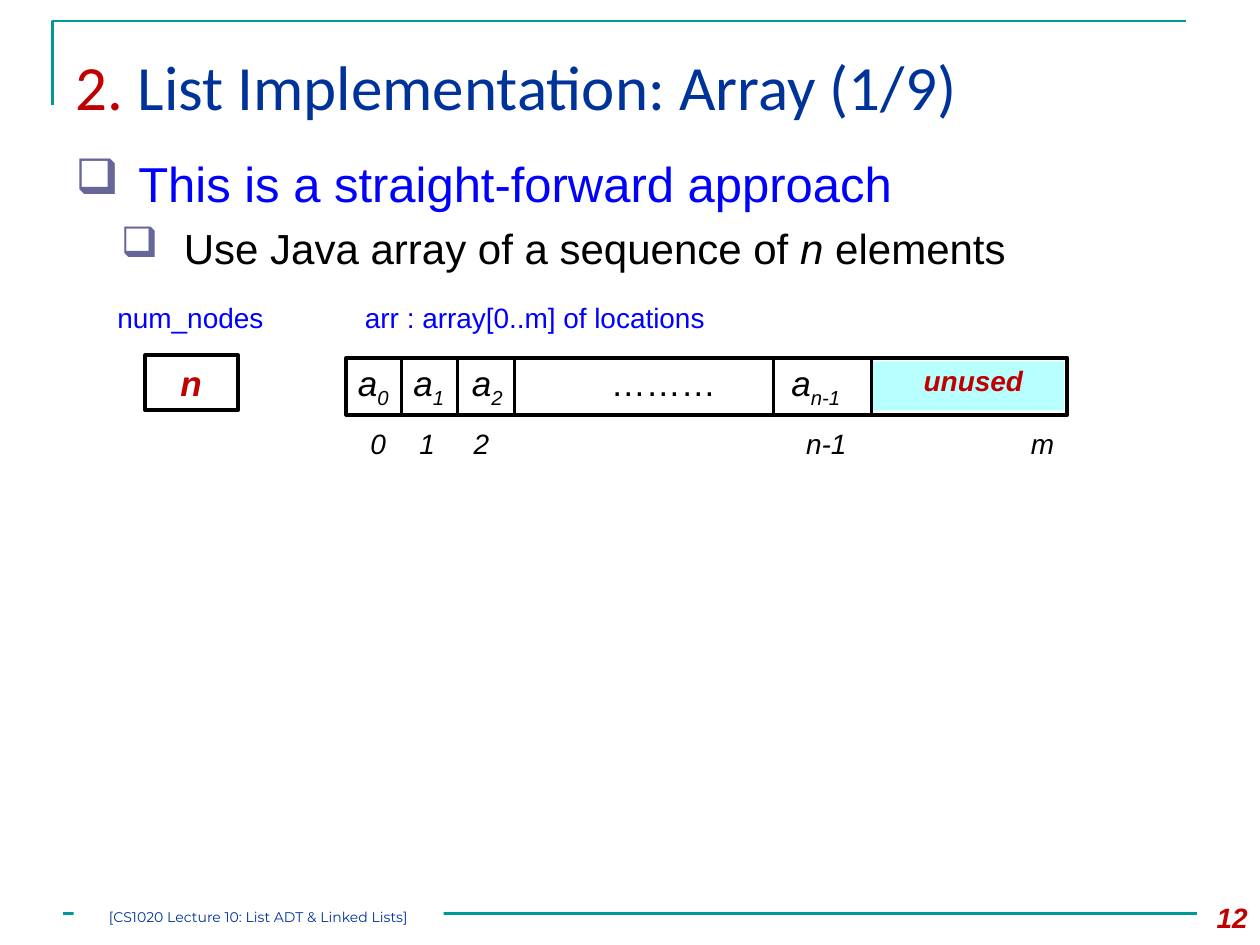
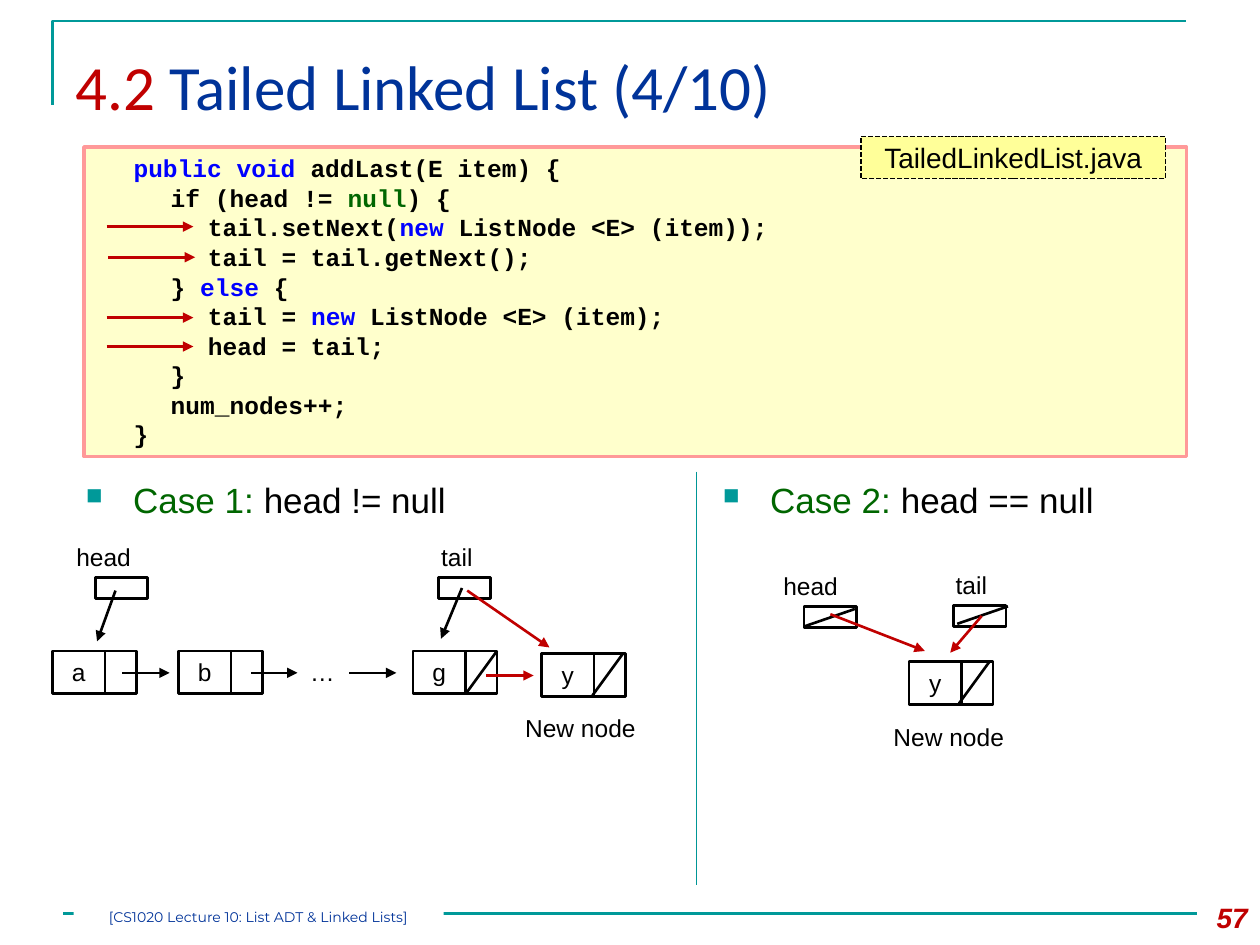
import pptx
import pptx.util
import pptx.dml.color
import pptx.enum.dml
import pptx.enum.shapes
import pptx.enum.text
from lxml import etree
from pptx.oxml.ns import qn

Pt = pptx.util.Pt
RGB = pptx.dml.color.RGBColor.from_string
ALIGN = pptx.enum.text.PP_ALIGN
ANCHOR = pptx.enum.text.MSO_ANCHOR

COLORS = {
    "teal": "009999", "divider": "009696", "red": "C00000", "navy": "003399",
    "blue": "0000FF", "green": "006600", "black": "000000", "white": "FFFFFF",
    "bullet": "666699", "unused": "B8FFFF", "code": "FFFFCC",
    "code edge": "FF9999", "file tag": "FFFF99",
}


def add_box(s, x, y, w, h, paras=(), size=14, color="black", font="Arial", bold=None,
            italic=None, align=ALIGN.LEFT, anchor=ANCHOR.TOP, wrap=True, inset=True,
            fill=None, line=None, weight=1.5):
    """Add a rectangle; each paragraph is a string or a list of (text, colour, rPr attributes)."""
    sp = s.shapes.add_shape(pptx.enum.shapes.MSO_SHAPE.RECTANGLE, Pt(x), Pt(y), Pt(w), Pt(h))
    sp.shadow.inherit = False
    if fill:
        sp.fill.solid()
        sp.fill.fore_color.rgb = RGB(COLORS[fill])
    else:
        sp.fill.background()
    if line:
        sp.line.color.rgb = RGB(COLORS[line])
        sp.line.width = Pt(weight)
    else:
        sp.line.fill.background()
    tf = sp.text_frame
    tf.word_wrap = wrap
    tf.vertical_anchor = anchor
    if not inset:
        tf.margin_left = tf.margin_right = tf.margin_top = tf.margin_bottom = 0
    for i, runs in enumerate(paras):
        p = tf.add_paragraph() if i else tf.paragraphs[0]
        p.alignment = align
        p.font.name, p.font.size = font, Pt(size)
        p.font.bold, p.font.italic = bold, italic
        p.font.color.rgb = RGB(COLORS[color])
        for text, run_color, attrs in [(runs, None, {})] if isinstance(runs, str) else runs:
            r = p.add_run()
            r.text = text
            if run_color:
                r.font.color.rgb = RGB(COLORS[run_color])
            for key, value in attrs.items():
                r._r.get_or_add_rPr().set(key, value)
    return sp


def add_line(s, x1, y1, x2, y2, color="black", weight=1.5, arrow=False):
    c = s.shapes.add_connector(pptx.enum.shapes.MSO_CONNECTOR.STRAIGHT,
                               Pt(x1), Pt(y1), Pt(x2), Pt(y2))
    c.line.color.rgb = RGB(COLORS[color])
    c.line.width = Pt(weight)
    if arrow:
        etree.SubElement(c.line._get_or_add_ln(), qn("a:tailEnd"), type="triangle")
    etree.SubElement(c._element.spPr, qn("a:effectLst"))


prs = pptx.Presentation()
prs.slide_width, prs.slide_height = Pt(720), Pt(540)

# Frame, title and footer shared by the slides
slides = []
for section, heading, number in [("2. ", "List Implementation: Array (1/9)", "12"),
                                 ("4.2 ", "Tailed Linked List (4/10)", "57")]:
    s = prs.slides.add_slide(prs.slide_layouts[5])
    slides.append(s)
    corner = s.shapes.build_freeform(Pt(30), Pt(60), scale=1.0)
    corner.add_line_segments([(Pt(30), Pt(12)), (Pt(678), Pt(12))], close=False)
    sp = corner.convert_to_shape()
    sp.shadow.inherit = False
    sp.fill.background()
    sp.line.color.rgb = RGB(COLORS["teal"])
    sp.line.width = Pt(1.5)
    add_line(s, 36, 522, 684, 522, "teal")

    title = s.shapes.title
    title.left, title.top, title.width, title.height = Pt(36), Pt(18), Pt(648), Pt(62)
    title.text_frame.vertical_anchor = ANCHOR.MIDDLE
    p = title.text_frame.paragraphs[0]
    p.alignment = ALIGN.LEFT
    p.font.name, p.font.size = "Calibri", Pt(36)
    for text, color in [(section, "red"), (heading, "navy")]:
        r = p.add_run()
        r.text = text
        r.font.color.rgb = RGB(COLORS[color])

    add_box(s, 672, 511, 48, 29, [number], 16, "red", bold=True, italic=True,
            align=ALIGN.RIGHT)
    add_box(s, 42, 516, 211.5, 16.5, ["[CS1020 Lecture 10: List ADT & Linked Lists]"], 8,
            "navy", "Montserrat", align=ALIGN.CENTER, anchor=ANCHOR.MIDDLE, inset=False,
            fill="white")

array_slide, list_slide = slides

# Bulleted text: box, bullet character, colour, size and left margins
approach = add_box(array_slide, 36, 84, 648, 84, [
    "This is a straight-forward approach",
    [("Use Java array of a sequence of ", None, {}), ("n", None, {"i": "1"}),
     (" elements", None, {})]], 28)
approach.text_frame.paragraphs[0].font.color.rgb = RGB(COLORS["blue"])
approach.text_frame.paragraphs[1].font.size = Pt(24)
approach.text_frame.paragraphs[1].space_before = Pt(6)
cases = [add_box(list_slide, x, 270, w, 36,
                 [[(case, "green", {}), (condition, "black", {})]], 20)
         for x, w, case, condition in [(42, 302, "Case 1: ", "head != null"),
                                       (406, 250, "Case 2: ", "head == null")]]
for sp, char, color, percent, margins, hang in [
        (approach, "❑", "bullet", 100, (36, 62), 36),
        (cases[0], "■", "teal", 65, (27,), 27),
        (cases[1], "■", "teal", 65, (27,), 27)]:
    for p, margin in zip(sp.text_frame.paragraphs, margins):
        pPr = p._p.get_or_add_pPr()
        pPr.set("marL", str(Pt(margin)))
        pPr.set("indent", str(-Pt(hang)))
        bullet = [etree.Element(qn("a:buClr")),
                  etree.Element(qn("a:buSzPct"), val=str(percent * 1000)),
                  etree.Element(qn("a:buChar"), char=char)]
        etree.SubElement(bullet[0], qn("a:srgbClr"), val=COLORS[color])
        for element in bullet:
            pPr.find(qn("a:defRPr")).addprevious(element)

# Array diagram
s = array_slide
add_box(s, 83, 203, 53, 31.5, line="black", weight=2.25)
add_box(s, 96, 203, 26.5, 31, ["n"], 20, "red", bold=True, italic=True, wrap=False)
add_box(s, 60, 168, 98.5, 26.5, ["num_nodes"], 16, "blue", wrap=False)
add_box(s, 201.5, 168, 249, 26.5, ["arr : array[0..m] of locations"], 16, "blue")
add_box(s, 198, 204.5, 412, 32.5, line="black", weight=2.25)
add_box(s, 498, 206.5, 110, 28, fill="unused")
for x in (229.5, 261.5, 294, 442, 498):
    add_line(s, x, 205.5, x, 236.5)
for x, w, index in [(192, 42.5, "0"), (226, 38, "1"), (262, 33, "2"), (444, 44.5, "n-1")]:
    add_box(s, x, 203, w, 31.5, [[("a", None, {}), (index, None, {"baseline": "-25000"})]],
            20, italic=True, align=ALIGN.CENTER, wrap=False)
add_box(s, 342, 203, 75, 31.5, ["………"], 20, wrap=False)
add_box(s, 516, 204, 80.5, 26.5, ["unused"], 16, "red", bold=True, italic=True,
        align=ALIGN.CENTER)
for x, w, index in [(204.5, 23, "0"), (232.5, 23, "1"), (263.5, 23, "2"),
                    (453.5, 37.5, "n-1"), (582, 28, "m")]:
    add_box(s, x, 240, w, 26.5, [index], 16, italic=True, wrap=False)

# Code listing
s = list_slide
code = [
    [("\t", "black"), ("public void ", "blue"), ("addLast(E item) {", "black")],
    [("\t\tif (head != ", "black"), ("null", "green"), (") {", "black")],
    [("\t\t\ttail.setNext(", "black"), ("new", "blue"), (" ListNode <E> (item));", "black")],
    [("\t\t\ttail = tail.getNext();", "black")],
    [("\t\t} ", "black"), ("else", "blue"), (" {", "black")],
    [("\t\t\ttail = ", "black"), ("new", "blue"), (" ListNode <E> (item);", "black")],
    [("\t\t\thead = tail;", "black")],
    [("\t\t}", "black")],
    [("\t\tnum_nodes++;", "black")],
    [("\t}", "black")],
]
listing = add_box(s, 48, 84, 630, 177, [[(*run, {}) for run in row] for row in code], 14,
                  font="Courier New", bold=True, fill="code", line="code edge", weight=2)
for p in listing.text_frame.paragraphs:
    p.line_spacing = Pt(16.9)
    tabs = etree.Element(qn("a:tabLst"))
    for stop in range(1, 5):
        etree.SubElement(tabs, qn("a:tab"), pos=str(Pt(21.25 * stop)), algn="l")
    p._p.pPr.find(qn("a:defRPr")).addprevious(tabs)
tag = add_box(s, 492, 78, 174, 24, ["TailedLinkedList.java"], 16, align=ALIGN.CENTER,
              anchor=ANCHOR.MIDDLE, fill="file tag", line="black", weight=1)
tag.line.dash_style = pptx.enum.dml.MSO_LINE.SQUARE_DOT
for x, y in [(61, 129.5), (62, 147), (61, 181.5), (61, 198)]:
    add_line(s, x, y, x + 49.5, y, "red", arrow=True)
add_line(s, 398, 269.5, 398, 505.5, "divider", 0.75)

# Head and tail pointers
for name, x, y, w, pointer_x in [("head", 36.5, 306, 54, 54.5), ("tail", 245, 306, 39.5, 250.5),
                                 ("head", 440.5, 322.5, 54, 459.5),
                                 ("tail", 539, 322, 39.5, 545)]:
    add_box(s, x, y, w, 24.5, [name])
    add_box(s, pointer_x, y + 24, 30, 12, fill="white", line="black")

# Nodes, with a slash through a null link
for item, x, y, slash_x in [("a", 30, 372, None), ("b", 102, 372, None),
                            ("g", 236, 372, 266.5), ("y", 309.5, 373.5, 338.5),
                            ("y", 519.5, 378, 548)]:
    add_box(s, x, y, 30, 24.5, [item], align=ALIGN.CENTER, line="black")
    add_box(s, x + 30, y, 18, 24.5, line="black")
    if slash_x:
        add_line(s, slash_x, y + 24, slash_x + 17.5, y)
add_box(s, 167, 372, 34.5, 24.5, ["…"], align=ALIGN.CENTER)
for x, y in [(293, 404), (503.5, 409)]:
    add_box(s, x, y, 80, 24.5, ["New node"], wrap=False)

# Null slashes of the empty list, then the links
for x, y in [(459.5, 358), (547, 356.5)]:
    add_line(s, x, y, x + 29, y - 10)
for x1, y1, x2, y2, color in [
        (70, 384.5, 97, 384.5, "black"), (143.5, 384.5, 170, 384.5, "black"),
        (199.5, 384.5, 226.5, 384.5, "black"), (66, 337.5, 55.5, 366.5, "black"),
        (264, 336, 252, 365, "black"), (278, 386, 305, 386, "red"),
        (267, 337.5, 314, 370, "red"), (561, 352, 543, 373, "red"),
        (474.5, 351, 528.5, 372, "red")]:
    add_line(s, x1, y1, x2, y2, color, arrow=True)

prs.save("out.pptx")
